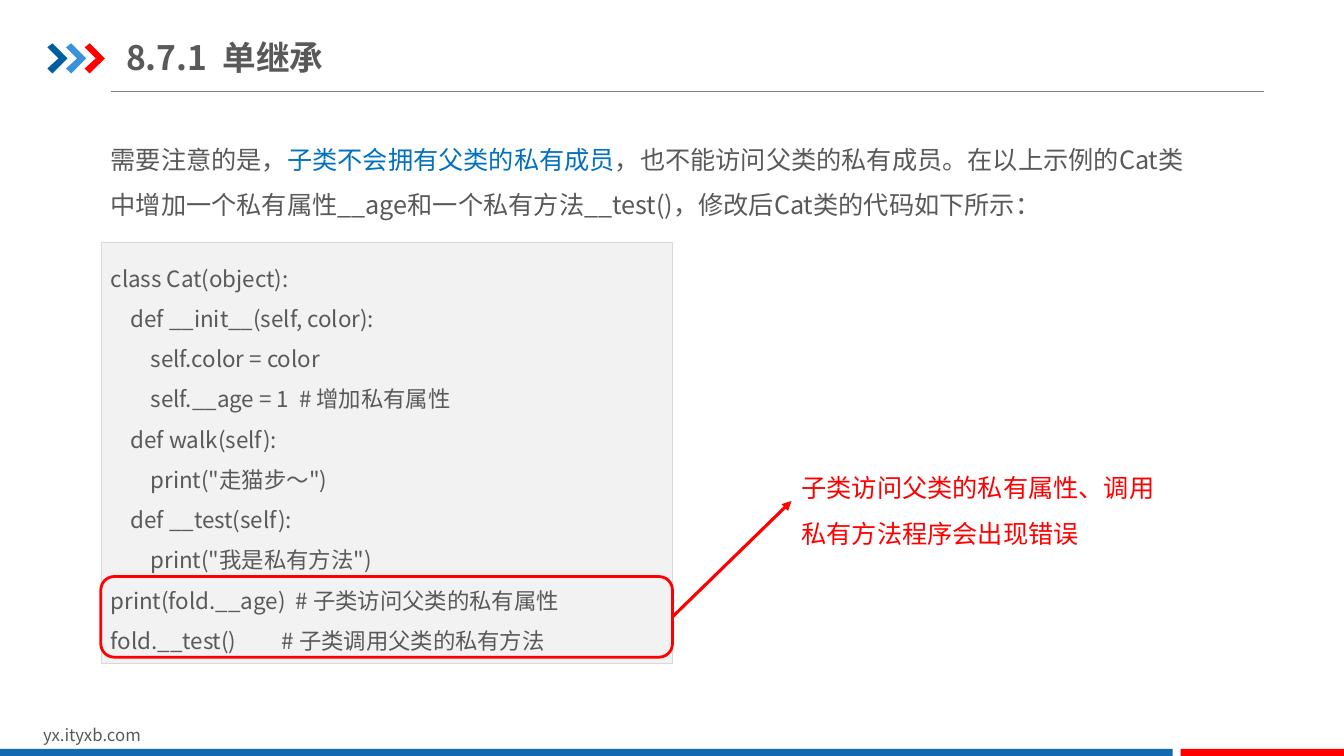
"""Build the slide on single inheritance and private members."""
from lxml import etree
from pptx import Presentation
from pptx.dml.color import RGBColor
from pptx.enum.shapes import MSO_CONNECTOR, MSO_SHAPE
from pptx.enum.text import MSO_ANCHOR, MSO_AUTO_SIZE, PP_ALIGN
from pptx.oxml.ns import qn
from pptx.util import Inches, Pt

LINE = MSO_CONNECTOR.STRAIGHT
RECT, ROUND = MSO_SHAPE.RECTANGLE, MSO_SHAPE.ROUNDED_RECTANGLE
MIDDLE, LEFT, FIXED = MSO_ANCHOR.MIDDLE, PP_ALIGN.LEFT, MSO_AUTO_SIZE.NONE
FACE = "Noto Sans CJK SC"
HEX = {
    "text": "595959", "rule": "808080", "red": "FF0000", "key": "0070C0",
    "navy": "005DA2", "sky": "3992DB", "bar": "1369B2",
    "panel": "F2F2F2", "edge": "D9D9D9",
}
RGB = {name: RGBColor.from_string(code) for name, code in HEX.items()}


def write(shape, lines, size, color="text", space=1.0, bold=False):
    """Fill a shape with left-aligned lines in one font."""
    frame = shape.text_frame
    frame.word_wrap = True
    frame.auto_size = FIXED
    frame.text = "\n".join(lines)
    for par in frame.paragraphs:
        par.alignment = LEFT
        par.line_spacing = space
        font = par.font
        font.name = FACE
        etree.SubElement(font._element, qn("a:ea"), typeface=FACE)
        font.size = Pt(size)
        font.bold = bold
        font.color.rgb = RGB[color]
    return frame


def link(x1, y1, x2, y2, color, width):
    """Draw a plain straight line."""
    line = shapes.add_connector(LINE, Inches(x1), Inches(y1), Inches(x2), Inches(y2))
    line.line.color.rgb = RGB[color]
    line.line.width = Pt(width)
    etree.SubElement(line._element.spPr, qn("a:effectLst"))
    return line


deck = Presentation()
deck.slide_width, deck.slide_height = Inches(13.33), Inches(7.5)
slide = deck.slides.add_slide(deck.slide_layouts[5])
shapes = slide.shapes

title = shapes.title
title.left, title.top = Inches(1.25), Inches(0.29)
title.width, title.height = Inches(5.02), Inches(0.55)
frame = write(title, ["8.7.1  单继承"], 24, bold=True)
frame.vertical_anchor = MIDDLE
frame.margin_left = frame.margin_right = 0

link(1.1, 0.91, 12.54, 0.91, "rule", 0.75)

chevron = [(0, 0.04), (0.05, 0), (0.2, 0.15), (0.05, 0.3), (0, 0.25), (0.11, 0.15)]
for i, color in enumerate(["navy", "sky", "red"]):
    left = 0.47 + 0.185 * i
    points = [(Inches(left + x), Inches(0.43 + y)) for x, y in chevron]
    pen = shapes.build_freeform(*points[0])
    pen.add_line_segments(points[1:], close=True)
    mark = pen.convert_to_shape()
    mark.shadow.inherit = False
    mark.fill.solid()
    mark.fill.fore_color.rgb = RGB[color]
    mark.line.fill.background()

for left, width, color in [(0, 11.63, "bar"), (11.71, 1.62, "red")]:
    bar = shapes.add_shape(RECT, Inches(left), Inches(7.43), Inches(width), Inches(0.07))
    bar.shadow.inherit = False
    bar.fill.solid()
    bar.fill.fore_color.rgb = RGB[color]
    bar.line.fill.background()

site = shapes.add_textbox(Inches(0.33), Inches(7.14), Inches(3.18), Inches(0.3))
write(site, ["yx.ityxb.com"], 12)

intro = shapes.add_textbox(Inches(1), Inches(1.23), Inches(11.02), Inches(0.94))
par = write(intro, ["需要注意的是，"], 18, space=1.5).paragraphs[0]
key = par.add_run()
key.text = "子类不会拥有父类的私有成员"
key.font.color.rgb = RGB["key"]
par.add_run().text = (
    "，也不能访问父类的私有成员。在以上示例的Cat类中增加一个私有属性__age"
    "和一个私有方法__test()，修改后Cat类的代码如下所示："
)

code = [
    "class Cat(object):",
    "    def __init__(self, color):",
    "        self.color = color",
    "        self.__age = 1  # 增加私有属性",
    "    def walk(self):",
    '        print("走猫步～")',
    "    def __test(self):",
    '        print("我是私有方法")',
    "print(fold.__age)  # 子类访问父类的私有属性",
    "fold.__test()         # 子类调用父类的私有方法",
]
panel = shapes.add_shape(RECT, Inches(1), Inches(2.4), Inches(5.67), Inches(4.18))
panel.shadow.inherit = False
panel.fill.solid()
panel.fill.fore_color.rgb = RGB["panel"]
panel.line.color.rgb = RGB["edge"]
panel.line.width = Pt(0.25)
write(panel, code, 16, space=1.5).vertical_anchor = MIDDLE

frame = shapes.add_shape(ROUND, Inches(1), Inches(5.72), Inches(5.67), Inches(0.8))
frame.shadow.inherit = False
frame.fill.background()
frame.line.color.rgb = RGB["red"]
frame.line.width = Pt(2)

note = shapes.add_textbox(Inches(7.85), Inches(4.49), Inches(3.78), Inches(0.94))
write(note, ["子类访问父类的私有属性、调用私有方法程序会出现错误"], 18, "red", 1.5)

arrow = link(6.67, 6.12, 7.85, 4.97, "red", 2.25)
etree.SubElement(arrow.line._get_or_add_ln(), qn("a:tailEnd"), type="triangle")

deck.save("out.pptx")
